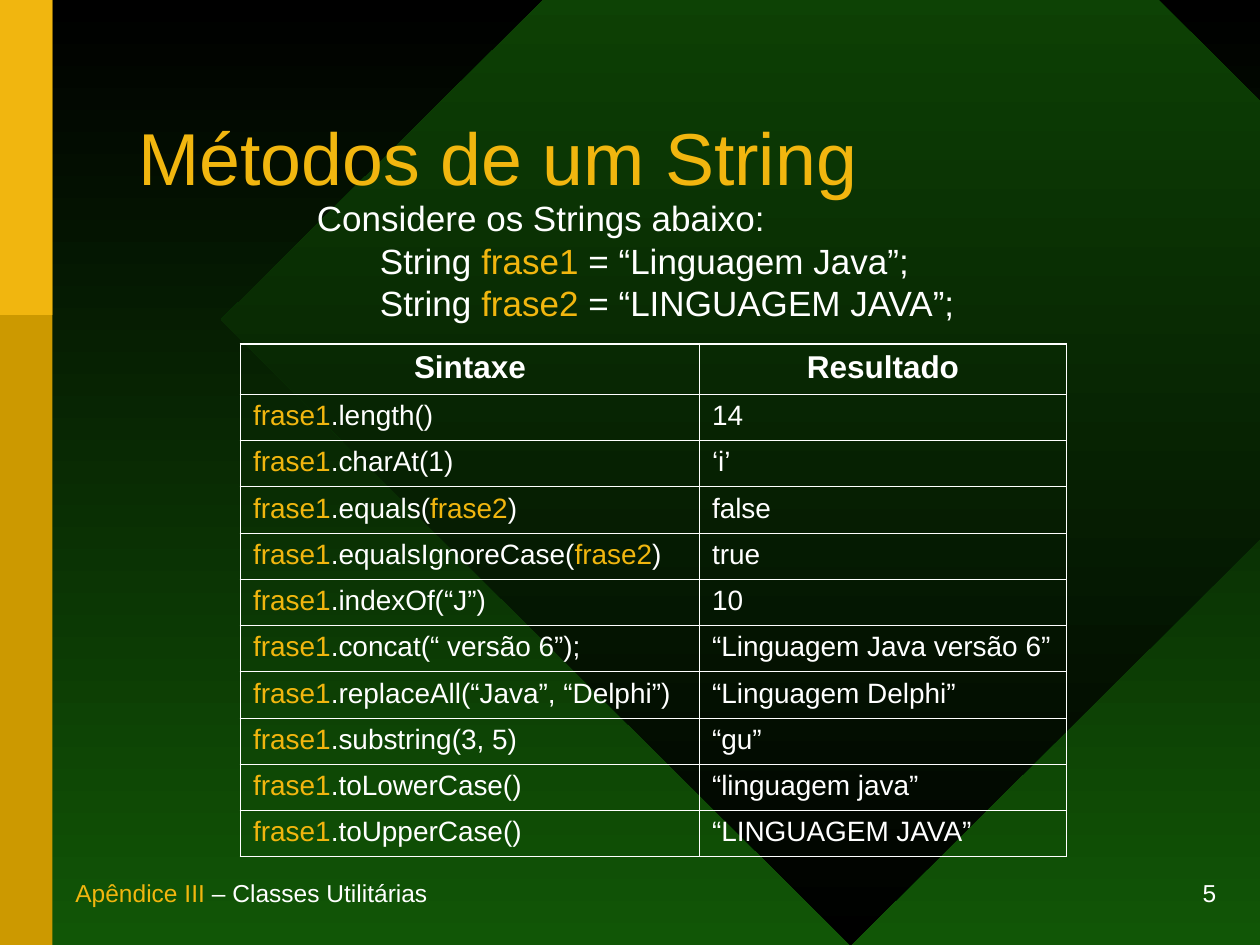
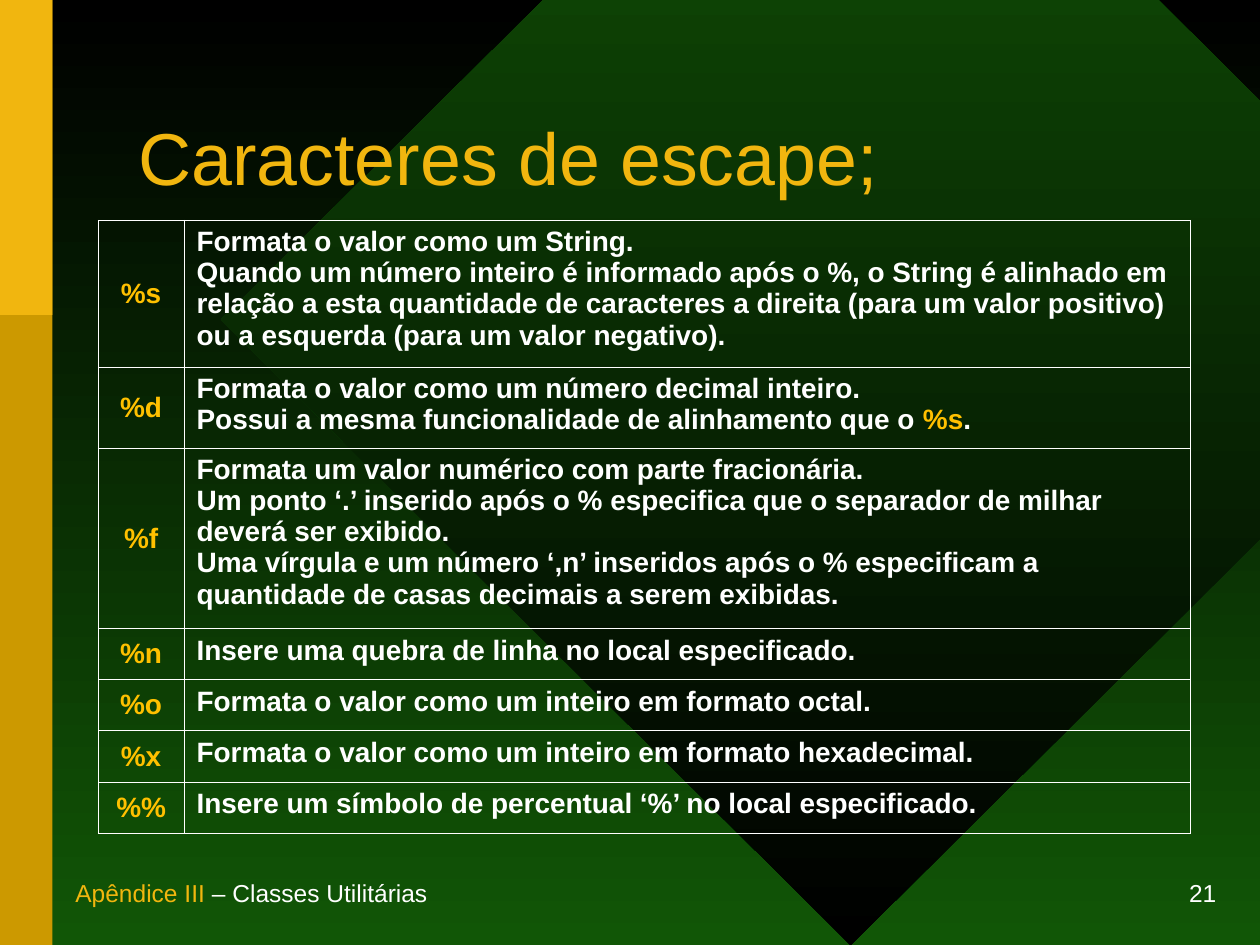
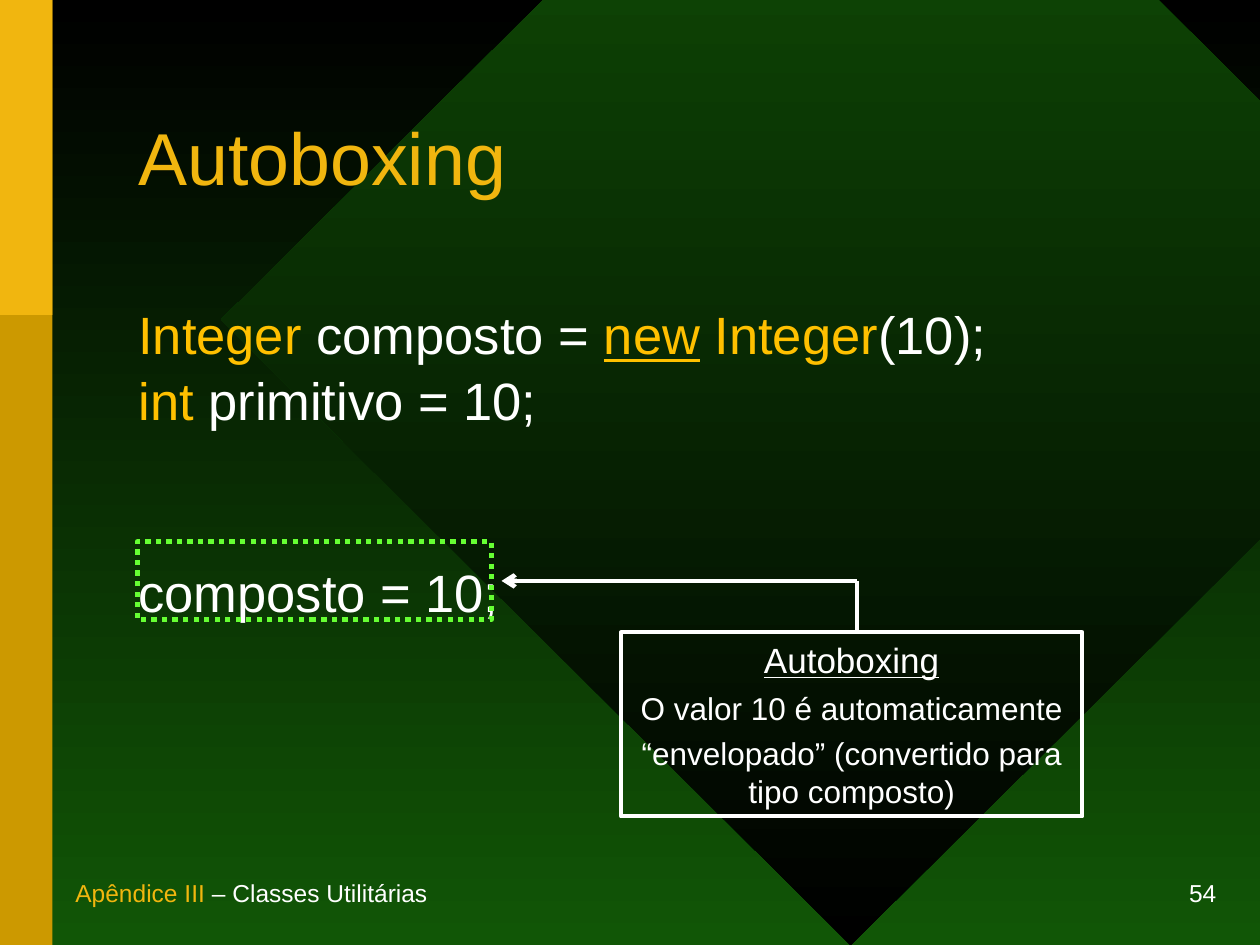
from lxml import etree
from pptx import Presentation
from pptx import util as u
from pptx.dml.color import RGBColor
from pptx.enum import dml, shapes, text
from pptx.oxml.ns import qn

Cm, Pt = u.Cm, u.Pt
HUES = {"black": "000000", "green": "115606", "gold": "F1B60F", "dark": "CC9900",
        "amber": "FFC000", "white": "FFFFFF", "lime": "66FF33"}
RGB = {name: RGBColor.from_string(code) for name, code in HUES.items()}
MID, LEFT, RIGHT = text.PP_ALIGN.CENTER, text.PP_ALIGN.LEFT, text.PP_ALIGN.RIGHT
FORM = shapes.MSO_SHAPE


def write(frame, lines, size, accent="gold", bold=False, **form):
    """Write one paragraph a line; text between bars takes the accent colour."""
    frame.word_wrap = True
    for i, line in enumerate(lines):
        para = frame.paragraphs[0] if i == 0 else frame.add_paragraph()
        for key, val in form.items():
            setattr(para, key, val)
        for j, part in enumerate(line.split("|")):
            if part:
                run = para.add_run()
                run.text = part
                look = {"name": "Arial", "size": Pt(size), "bold": bold}
                for key, val in look.items():
                    setattr(run.font, key, val)
                run.font.color.rgb = RGB[accent if j % 2 else "white"]


def grid(slide, left, top, cols, rows, edge):
    """Add a clear table with white rules; edge is the outer width in points."""
    table = slide.shapes.add_table(len(rows), len(cols), Cm(left), Cm(top),
                                   Cm(sum(cols)), Cm(sum(rows))).table
    table.first_row = table.horz_banding = False
    for col, width in zip(table.columns, cols):
        col.width = Cm(width)
    for row, height in zip(table.rows, rows):
        row.height = Cm(height)
    for r in range(len(rows)):
        for c in range(len(cols)):
            cell = table.cell(r, c)
            props = cell._tc.get_or_add_tcPr()
            outer = {"L": c == 0, "R": c == len(cols) - 1,
                     "T": r == 0, "B": r == len(rows) - 1}
            for side, is_out in outer.items():
                rule = etree.SubElement(props, qn("a:ln" + side),
                                        w=str(Pt(edge if is_out else 0.45)))
                fill = etree.SubElement(rule, qn("a:solidFill"))
                etree.SubElement(fill, qn("a:srgbClr"), val=HUES["white"])
            cell.fill.background()
    return table


deck = Presentation()
deck.slide_width, deck.slide_height = Cm(25.4), Cm(19.05)

# Shared look: backdrop, side bands, footer, page number, title
back = deck.slide_master.background.fill
pages = []
for title, num in (("Métodos de um String", 5), ("Caracteres de escape;", 21),
                   ("Autoboxing", 54)):
    slide = deck.slides.add_slide(deck.slide_layouts[6])
    pages.append(slide)
    gem = slide.shapes.add_shape(FORM.DIAMOND, Cm(4.45), Cm(-6.15), Cm(25.4), Cm(25.2))
    for fill, tones in ((back, ("black", "green")), (gem.fill, ("green", "black"))):
        fill.gradient()
        fill.gradient_angle = 270
        for stop, tone in zip(fill.gradient_stops, tones):
            stop.color.rgb = RGB[tone]
    bands = [gem]
    for tone, height in (("dark", 19.05), ("gold", 6.35)):
        band = slide.shapes.add_shape(FORM.RECTANGLE, 0, 0, Cm(1.06), Cm(height))
        band.fill.solid()
        band.fill.fore_color.rgb = RGB[tone]
        bands.append(band)
    for band in bands:
        band.line.fill.background()
        band.shadow.inherit = False
    for left, note, align in ((18.42, str(num), RIGHT),
                              (1.27, "|Apêndice III| – Classes Utilitárias", LEFT)):
        width = 6.35 if align == RIGHT else 9
        foot = slide.shapes.add_textbox(Cm(left), Cm(17.78), Cm(width), Cm(0.64))
        foot.text_frame.vertical_anchor = text.MSO_ANCHOR.BOTTOM
        write(foot.text_frame, [note], 14, alignment=align)
    head = slide.shapes.add_textbox(Cm(2.54), Cm(1.7), Cm(20.96), Cm(3.18))
    head.text_frame.vertical_anchor = text.MSO_ANCHOR.MIDDLE
    write(head.text_frame, [f"|{title}|"], 42, line_spacing=0.85)

# Slide 1: string methods
slide = pages[0]
calls = [
    ("Sintaxe", "Resultado"),
    ("|frase1|.length()", "14"),
    ("|frase1|.charAt(1)", "‘i’"),
    ("|frase1|.equals(|frase2|)", "false"),
    ("|frase1|.equalsIgnoreCase(|frase2|)", "true"),
    ("|frase1|.indexOf(“J”)", "10"),
    ("|frase1|.concat(“ versão 6”);", "“Linguagem Java versão 6”"),
    ("|frase1|.replaceAll(“Java”, “Delphi”)", "“Linguagem Delphi”"),
    ("|frase1|.substring(3, 5)", "“gu”"),
    ("|frase1|.toLowerCase()", "“linguagem java”"),
    ("|frase1|.toUpperCase()", "“LINGUAGEM JAVA”"),
]
table = grid(slide, 4.85, 6.93, (9.25, 7.4), [1.01] + [0.93] * 10, 1.08)
for r, row in enumerate(calls):
    for c, words in enumerate(row):
        write(table.cell(r, c).text_frame, [words], 16 if r else 18,
              bold=r == 0, alignment=LEFT if r else MID)

intro = slide.shapes.add_textbox(Cm(6.14), Cm(4.01), Cm(13.46), Cm(2.64))
write(intro.text_frame, ["Considere os Strings abaixo:",
                         "String |frase1| = “Linguagem Java”;",
                         "String |frase2| = “LINGUAGEM JAVA”;"],
      20, line_spacing=0.8, space_before=Pt(5))
for para in intro.text_frame.paragraphs[1:]:
    para.level = 1
    para._p.get_or_add_pPr().set("marL", str(Cm(1.27)))

# Slide 2: format codes
codes = {
    "%s": ["Formata o valor como um String.",
           "Quando um número inteiro é informado após o %, o String é alinhado em "
           "relação a esta quantidade de caracteres a direita (para um valor "
           "positivo) ou a esquerda (para um valor negativo)."],
    "%d": ["Formata o valor como um número decimal inteiro.",
           "Possui a mesma funcionalidade de alinhamento que o |%s|."],
    "%f": ["Formata um valor numérico com parte fracionária.",
           "Um ponto ‘.’ inserido após o % especifica que o separador de milhar "
           "deverá ser exibido.",
           "Uma vírgula e um número ‘,n’ inseridos após o % especificam a "
           "quantidade de casas decimais a serem exibidas."],
    "%n": ["Insere uma quebra de linha no local especificado."],
    "%o": ["Formata o valor como um inteiro em formato octal."],
    "%x": ["Formata o valor como um inteiro em formato hexadecimal."],
    "%%": ["Insere um símbolo de percentual ‘%’ no local especificado."],
}
table = grid(pages[1], 1.98, 4.44, (1.73, 20.29), [2.96, 1.63, 3.64] + [1.03] * 4, 0.45)
for r, (code, lines) in enumerate(codes.items()):
    key, note = table.cell(r, 0), table.cell(r, 1)
    key.vertical_anchor = text.MSO_ANCHOR.MIDDLE
    write(key.text_frame, [f"|{code}|"], 16, "amber", True, alignment=MID)
    write(note.text_frame, lines, 16, "amber", True)

# Slide 3: code lines
slide = pages[2]
code = slide.shapes.add_textbox(Cm(2.54), Cm(5.97), Cm(20.96), Cm(7.8))
write(code.text_frame, ["|Integer| composto = |new|| Integer|(10);",
                        "|int| primitivo = 10;", "composto = 10;"],
      30, "amber", space_before=Pt(1.5))
paras = code.text_frame.paragraphs
paras[0].runs[2].font.underline = True
paras[2].space_before = Pt(73.5)

# Dotted frame and callout
frame = slide.shapes.add_shape(FORM.RECTANGLE, Cm(2.77), Cm(10.92), Cm(7.14), Cm(1.57))
call = slide.shapes.add_shape(FORM.RECTANGLE, Cm(12.52), Cm(12.75), Cm(9.3), Cm(3.71))
for box, tone, width in ((frame, "lime", 3), (call, "white", 2.24)):
    box.shadow.inherit = False
    box.fill.background()
    box.line.color.rgb = RGB[tone]
    box.line.width = Pt(width)
frame.line.dash_style = dml.MSO_LINE.ROUND_DOT
call.text_frame.vertical_anchor = text.MSO_ANCHOR.TOP
write(call.text_frame, ["Autoboxing", "O valor 10 é automaticamente",
                        "“envelopado” (convertido para tipo composto)"],
      18, alignment=MID, space_before=Pt(4.5))
lead = call.text_frame.paragraphs[0]
lead.space_before = Pt(5)
for key, val in {"size": Pt(20), "underline": True}.items():
    setattr(lead.runs[0].font, key, val)

# Elbow arrow from the callout to the frame
for x1, y1, x2, y2 in ((17.27, 12.73, 17.27, 11.71), (17.27, 11.71, 10.11, 11.71)):
    link = slide.shapes.add_connector(shapes.MSO_CONNECTOR.STRAIGHT,
                                      Cm(x1), Cm(y1), Cm(x2), Cm(y2))
    link.line.color.rgb = RGB["white"]
    link.line.width = Pt(2.49)
    etree.SubElement(link._element.spPr, qn("a:effectLst"))
etree.SubElement(link.line._get_or_add_ln(), qn("a:tailEnd"), type="arrow")

deck.save("out.pptx")
